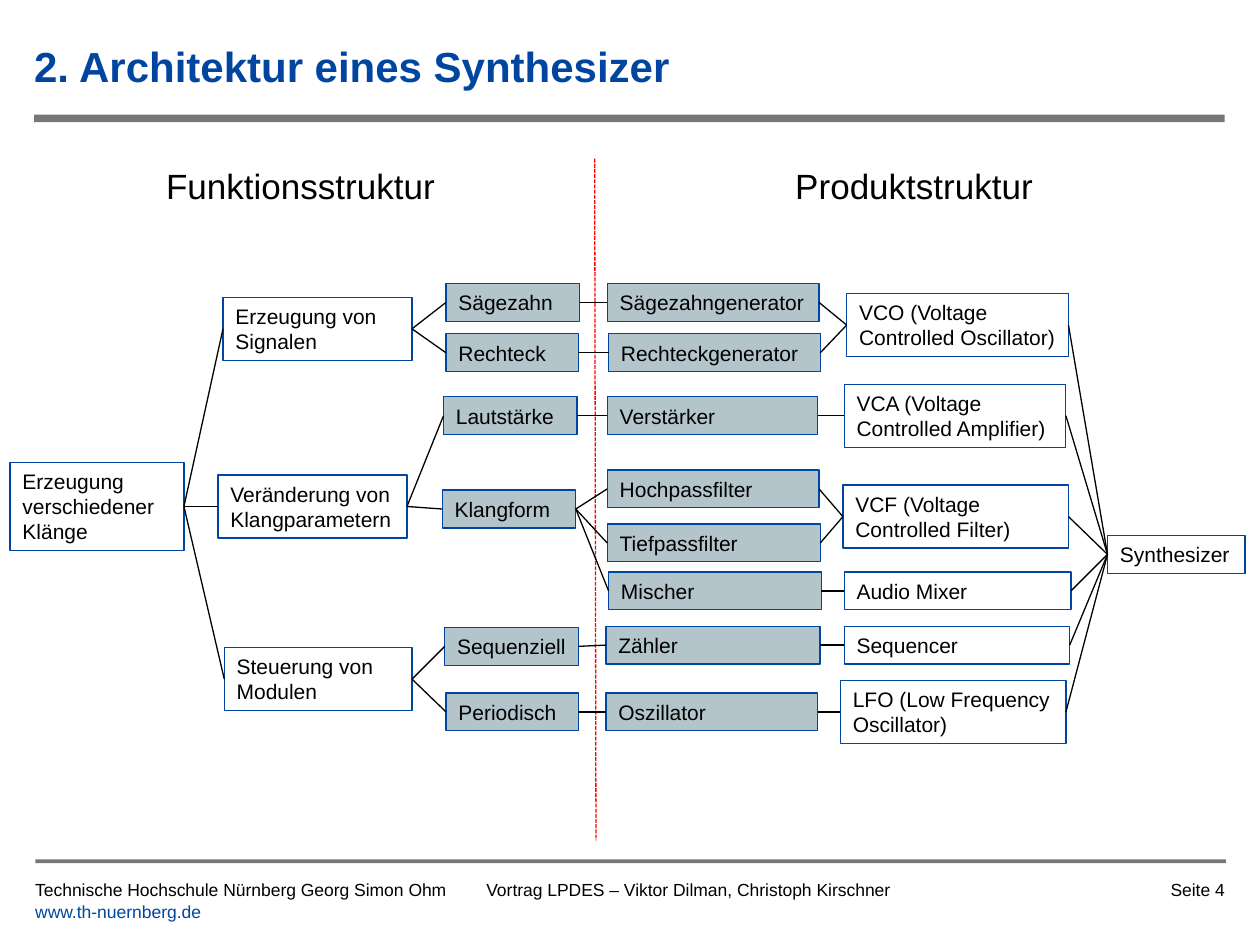
from dataclasses import dataclass

from lxml.etree import SubElement
from pptx import Presentation
from pptx.dml.color import RGBColor
from pptx.enum.dml import MSO_LINE
from pptx.enum.shapes import MSO_CONNECTOR, MSO_SHAPE
from pptx.enum.text import MSO_ANCHOR, MSO_AUTO_SIZE, PP_ALIGN
from pptx.oxml.ns import qn
from pptx.util import Inches, Pt


@dataclass(frozen=True)
class Theme:
    font: str = "Arial"
    blue: RGBColor = RGBColor(0x00, 0x46, 0xA0)
    black: RGBColor = RGBColor(0x00, 0x00, 0x00)
    gray: RGBColor = RGBColor(0x77, 0x77, 0x77)
    shared: RGBColor = RGBColor(0xB3, 0xC5, 0xCB)
    red: RGBColor = RGBColor(0xFF, 0x00, 0x00)
    title: Pt = Pt(24)
    heading: Pt = Pt(20)
    box: Pt = Pt(12)
    footer: Pt = Pt(10)
    line: Pt = Pt(0.75)


T = Theme()


def write(p, text, size, color=T.black, bold=False, align=PP_ALIGN.LEFT):
    p.alignment = align
    r = p.add_run()
    r.text = text
    r.font.name, r.font.size, r.font.bold = T.font, size, bold
    r.font.color.rgb = color


def add_line(x1, y1, x2, y2, color=T.black):
    line = s.shapes.add_connector(
        MSO_CONNECTOR.STRAIGHT, Inches(x1), Inches(y1), Inches(x2), Inches(y2))
    line.line.color.rgb = color
    line.line.width = T.line
    SubElement(line._element.spPr, qn("a:effectLst"))
    return line


prs = Presentation()
prs.slide_width, prs.slide_height = Inches(10), Inches(7.5)
s = prs.slides.add_slide(prs.slide_layouts[5])

# Rules below the title and above the footer
for left, top, height in [(0.28, 6.82, 0.03), (0.27, 0.91, 0.06)]:
    rule = s.shapes.add_shape(
        MSO_SHAPE.RECTANGLE, Inches(left), Inches(top), Inches(9.45), Inches(height))
    rule.shadow.inherit = False
    rule.fill.solid()
    rule.fill.fore_color.rgb = T.gray
    rule.line.fill.background()

# Title
title = s.shapes.title
title.left, title.top = Inches(0.27), Inches(0.21)
title.width, title.height = Inches(9.45), Inches(0.63)
tf = title.text_frame
tf.margin_left = tf.margin_right = tf.margin_top = tf.margin_bottom = 0
tf.vertical_anchor = MSO_ANCHOR.MIDDLE
tf.auto_size = MSO_AUTO_SIZE.NONE
write(tf.paragraphs[0], "2. Architektur eines Synthesizer", T.title, T.blue, True)

# Headings of the two halves and the line between them
for text, left, width in [("Funktionsstruktur", 0.04, 4.69), ("Produktstruktur", 4.72, 5.07)]:
    tb = s.shapes.add_textbox(Inches(left), Inches(1.26), Inches(width), Inches(0.43))
    tb.text_frame.word_wrap = True
    write(tb.text_frame.paragraphs[0], text, T.heading, align=PP_ALIGN.CENTER)
divider = add_line(4.72, 1.26, 4.73, 6.67, T.red)
divider.line.dash_style = MSO_LINE.SQUARE_DOT

# Boxes by column: key, text, left, top, width, number of text lines
function_boxes = [
    ("Klänge", "Erzeugung verschiedener Klänge", 0.08, 3.67, 1.38, 3),
    ("Signale", "Erzeugung von Signalen", 1.77, 2.36, 1.5, 2),
    ("Parameter", "Veränderung von Klangparametern", 1.73, 3.77, 1.5, 2),
    ("Module", "Steuerung von Modulen", 1.78, 5.14, 1.49, 2),
]
shared_boxes = [
    ("Sägezahn", "Sägezahn", 3.54, 2.25, 1.06, 1),
    ("Rechteck", "Rechteck", 3.54, 2.65, 1.05, 1),
    ("Lautstärke", "Lautstärke", 3.52, 3.15, 1.06, 1),
    ("Klangform", "Klangform", 3.51, 3.89, 1.06, 1),
    ("Sequenziell", "Sequenziell", 3.53, 4.98, 1.06, 1),
    ("Periodisch", "Periodisch", 3.54, 5.5, 1.05, 1),
    ("Sägezahngenerator", "Sägezahngenerator", 4.82, 2.25, 1.68, 1),
    ("Rechteckgenerator", "Rechteckgenerator", 4.83, 2.65, 1.68, 1),
    ("Verstärker", "Verstärker", 4.82, 3.15, 1.67, 1),
    ("Hochpass", "Hochpassfilter", 4.82, 3.73, 1.68, 1),
    ("Tiefpass", "Tiefpassfilter", 4.82, 4.16, 1.69, 1),
    ("Mischer", "Mischer", 4.83, 4.54, 1.69, 1),
    ("Zähler", "Zähler", 4.81, 4.97, 1.7, 1),
    ("Oszillator", "Oszillator", 4.81, 5.5, 1.68, 1),
]
product_boxes = [
    ("VCO", "VCO (Voltage Controlled Oscillator)", 6.72, 2.33, 1.76, 2),
    ("VCA", "VCA (Voltage Controlled Amplifier)", 6.7, 3.05, 1.76, 2),
    ("VCF", "VCF (Voltage Controlled Filter)", 6.69, 3.85, 1.79, 2),
    ("Mixer", "Audio Mixer", 6.7, 4.54, 1.8, 1),
    ("Sequencer", "Sequencer", 6.7, 4.97, 1.79, 1),
    ("LFO", "LFO (Low Frequency Oscillator)", 6.67, 5.4, 1.79, 2),
    ("Synthesizer", "Synthesizer", 8.79, 4.25, 1.09, 1),
]
boxes = {}
for group, fill in [(function_boxes, None), (shared_boxes, T.shared), (product_boxes, None)]:
    for key, text, left, top, width, lines in group:
        box = s.shapes.add_shape(
            MSO_SHAPE.RECTANGLE, Inches(left), Inches(top),
            Inches(width), Inches(0.1 + 0.2 * lines))
        box.shadow.inherit = False
        if fill is None:
            box.fill.background()
        else:
            box.fill.solid()
            box.fill.fore_color.rgb = fill
        box.line.color.rgb = T.blue
        box.line.width = Pt(0)
        tf = box.text_frame
        tf.word_wrap = key != "Sequenziell"
        tf.auto_size = MSO_AUTO_SIZE.SHAPE_TO_FIT_TEXT
        tf.vertical_anchor = MSO_ANCHOR.TOP
        write(tf.paragraphs[0], text, T.box)
        boxes[key] = box

# Links run from the right side of one box to the left side of the next
links = {
    "Klänge": ["Signale", "Parameter", "Module"],
    "Signale": ["Sägezahn", "Rechteck"],
    "Parameter": ["Lautstärke", "Klangform"],
    "Module": ["Sequenziell", "Periodisch"],
    "Sägezahn": ["Sägezahngenerator"],
    "Rechteck": ["Rechteckgenerator"],
    "Lautstärke": ["Verstärker"],
    "Klangform": ["Hochpass", "Tiefpass", "Mischer"],
    "Sequenziell": ["Zähler"],
    "Periodisch": ["Oszillator"],
    "Sägezahngenerator": ["VCO"],
    "Rechteckgenerator": ["VCO"],
    "Verstärker": ["VCA"],
    "Hochpass": ["VCF"],
    "Tiefpass": ["VCF"],
    "Mischer": ["Mixer"],
    "Zähler": ["Sequencer"],
    "Oszillator": ["LFO"],
}
for key in ["VCO", "VCA", "VCF", "Mixer", "Sequencer", "LFO"]:
    links[key] = ["Synthesizer"]
for start, ends in links.items():
    for end in ends:
        link = add_line(0, 0, 1, 1)
        link.begin_connect(boxes[start], 3)
        link.end_connect(boxes[end], 1)

# Footer
footers = [
    (0.28, 3.5, PP_ALIGN.LEFT, [("Technische Hochschule Nürnberg Georg Simon Ohm", T.black),
                                ("www.th-nuernberg.de", T.blue)]),
    (3.86, 3.52, PP_ALIGN.LEFT,
     [("Vortrag LPDES – Viktor Dilman, Christoph Kirschner", T.black)]),
    (8.94, 0.78, PP_ALIGN.RIGHT, [("Seite 4", T.black)]),
]
for left, width, align, lines in footers:
    tb = s.shapes.add_textbox(
        Inches(left), Inches(6.98), Inches(width), Inches(0.39))
    tf = tb.text_frame
    tf.word_wrap = True
    tf.margin_left = tf.margin_right = tf.margin_top = tf.margin_bottom = 0
    for i, (text, color) in enumerate(lines):
        p = tf.add_paragraph() if i else tf.paragraphs[0]
        write(p, text, T.footer, color, align=align)

prs.save("out.pptx")
